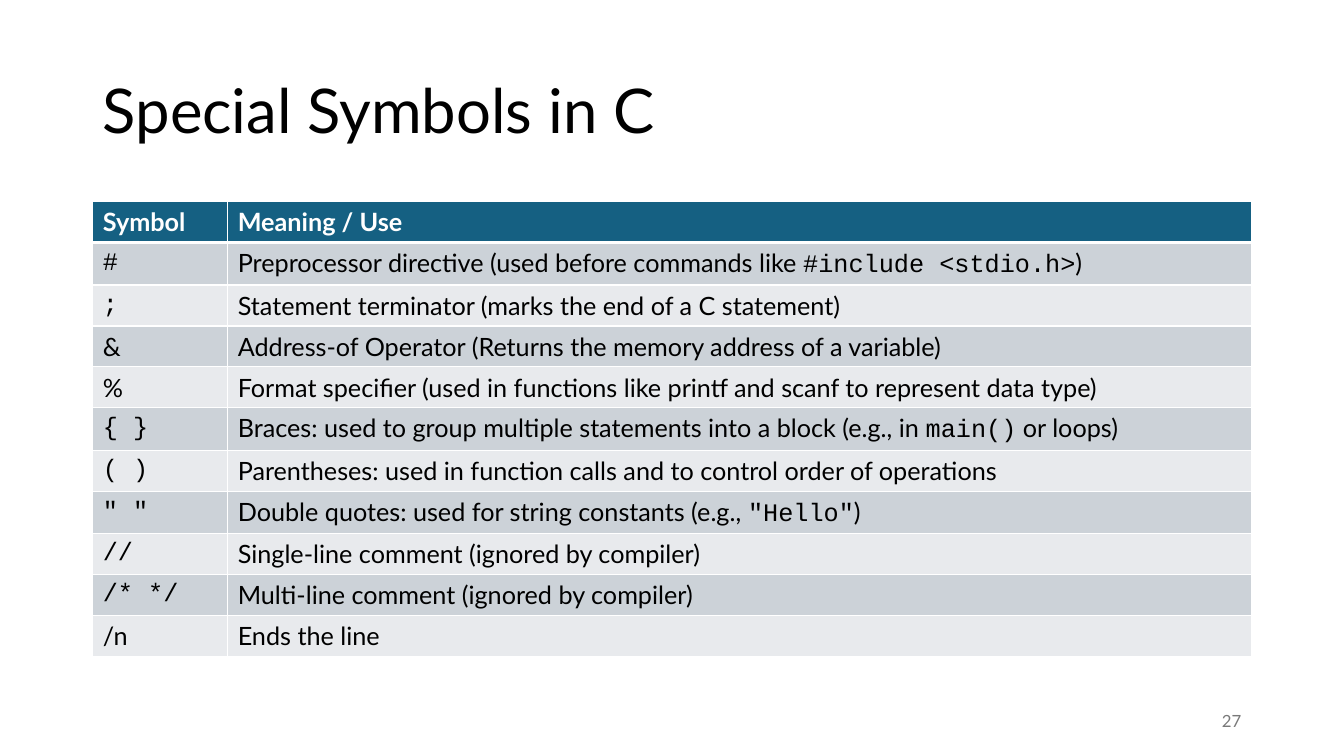
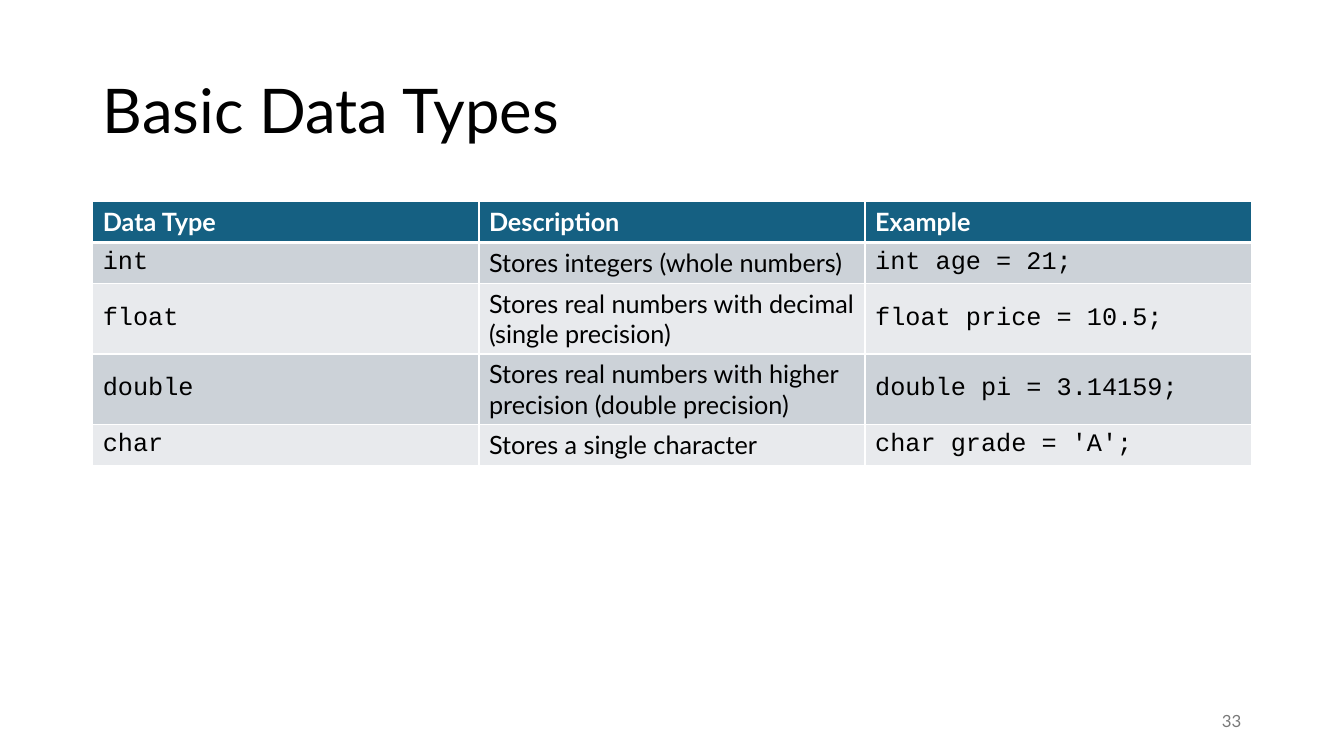
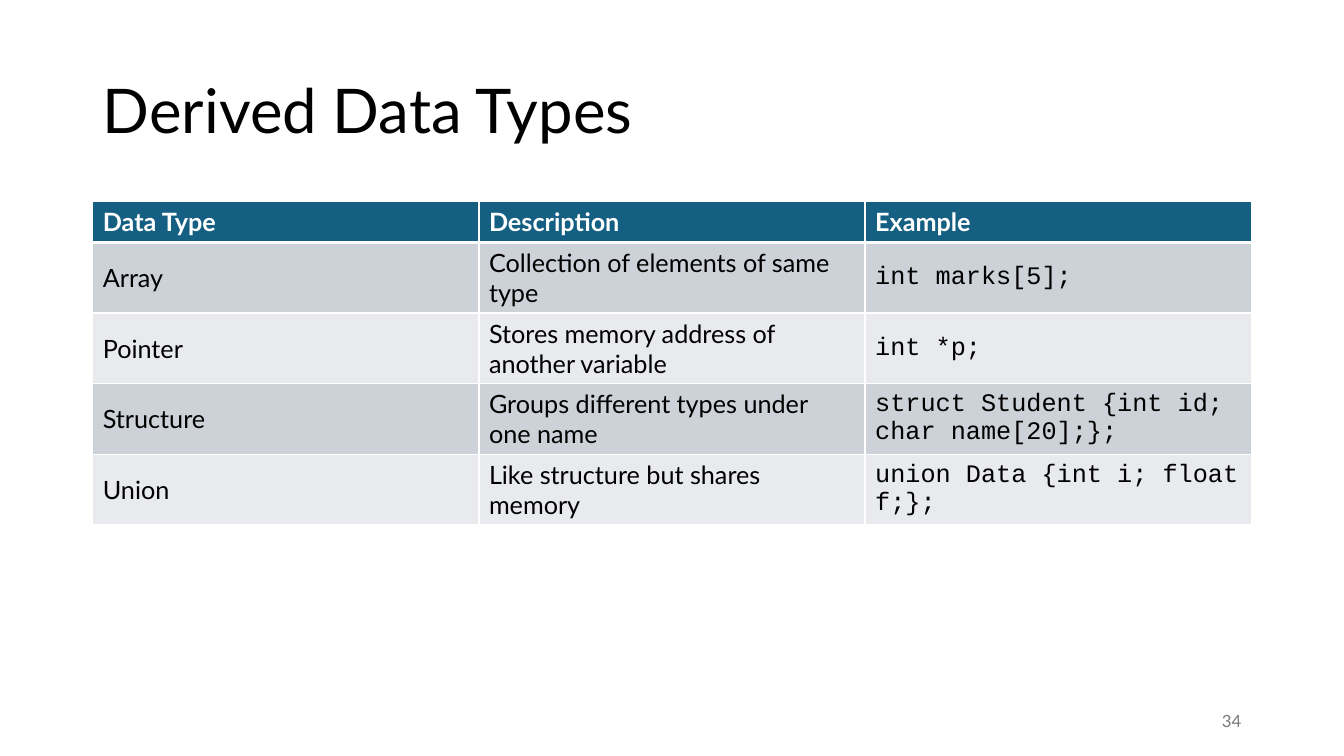
"""Build three slides of C reference tables with a shared title, table and page number style."""
from lxml.etree import SubElement
from pptx import Presentation
from pptx.dml.color import RGBColor
from pptx.enum.text import MSO_ANCHOR, MSO_AUTO_SIZE, PP_ALIGN
from pptx.oxml.ns import qn
from pptx.util import Inches, Pt

TYPE_HEADER = ("Data Type", "Description", "Example")
TYPE_COLUMNS = (1, 1, 1)

SLIDES = [
    {
        "title": "Special Symbols in C",
        "number": "27",
        "columns": (1.34, 10.16),
        "rows": [
            ("Symbol", "Meaning / Use"),
            ("`#`", "Preprocessor directive (used before commands like `#include <stdio.h>`)"),
            ("`;`", "Statement terminator (marks the end of a C statement)"),
            ("&", "Address-of Operator (Returns the memory address of a variable)"),
            ("%", "Format specifier (used in functions like printf and scanf to represent data type)"),
            ("`{ }`", "Braces: used to group multiple statements into a block (e.g., in `main()` or loops)"),
            ("`( )`", "Parentheses: used in function calls and to control order of operations"),
            ('`" "`', 'Double quotes: used for string constants (e.g., `"Hello"`)'),
            ("`//`", "Single-line comment (ignored by compiler)"),
            ("`/* */`", "Multi-line comment (ignored by compiler)"),
            ("/n", "Ends the line"),
        ],
    },
    {
        "title": "Basic Data Types",
        "number": "33",
        "columns": TYPE_COLUMNS,
        "rows": [
            TYPE_HEADER,
            ("`int`", "Stores integers (whole numbers)", "`int age = 21;`"),
            ("`float`", "Stores real numbers with decimal (single precision)", "`float price = 10.5;`"),
            ("`double`", "Stores real numbers with higher precision (double precision)",
             "`double pi = 3.14159;`"),
            ("`char`", "Stores a single character", "`char grade = 'A';`"),
        ],
    },
    {
        "title": "Derived Data Types",
        "number": "34",
        "columns": TYPE_COLUMNS,
        "rows": [
            TYPE_HEADER,
            ("Array", "Collection of elements of same type", "`int marks[5];`"),
            ("Pointer", "Stores memory address of another variable", "`int *p;`"),
            ("Structure", "Groups different types under one name", "`struct Student {int id; char name[20];};`"),
            ("Union", "Like structure but shares memory", "`union Data {int i; float f;};`"),
        ],
    },
]

BLACK = RGBColor(0x00, 0x00, 0x00)
WHITE = RGBColor(0xFF, 0xFF, 0xFF)
TEAL = RGBColor(0x15, 0x60, 0x82)
GRAY = RGBColor(0x79, 0x79, 0x79)
BANDS = (RGBColor(0xE8, 0xEA, 0xED), RGBColor(0xCC, 0xD2, 0xD8))

TEXT_FONT, CODE_FONT = "Lato", "Courier New"
TITLE_FORMAT = {"name": TEXT_FONT, "size": Pt(44), "color": BLACK}
NUMBER_FORMAT = {"name": TEXT_FONT, "size": Pt(12), "color": GRAY}
HEADER_FORMAT = {"size": Pt(18), "bold": True, "color": WHITE}
BODY_FORMAT = {"size": Pt(18), "bold": False, "color": BLACK}

SLIDE_WIDTH, SLIDE_HEIGHT = Inches(13.33), Inches(7.5)
MARGIN = Inches(0.92)
CONTENT_WIDTH = SLIDE_WIDTH - 2 * MARGIN
TITLE_TOP, TITLE_HEIGHT = Inches(0.4), Inches(1.45)
TABLE_TOP, ROW_HEIGHT = Inches(2), Pt(29.2)
NUMBER_TOP, NUMBER_WIDTH, NUMBER_HEIGHT = Inches(6.95), Inches(3), Inches(0.4)
THIN, THICK = Pt(1), Pt(3)


def add_run(paragraph, text, formats):
    """Append a run and apply its font formats."""
    run = paragraph.add_run()
    run.text = text
    for attribute, value in formats.items():
        if attribute == "color":
            run.font.color.rgb = value
        else:
            setattr(run.font, attribute, value)


def set_borders(cell, widths):
    """Draw white cell borders, given the width of each side."""
    properties = cell._tc.get_or_add_tcPr()
    for side, width in widths.items():
        line = SubElement(properties, qn(f"a:ln{side}"), w=str(width))
        SubElement(SubElement(line, qn("a:solidFill")), qn("a:srgbClr"), val=str(WHITE))


def fill_cell(cell, text, row_index):
    """Format one cell and write its text, with code between backticks."""
    is_header = row_index == 0
    set_borders(cell, {
        "L": THIN,
        "R": THIN,
        "T": THICK if row_index == 1 else THIN,
        "B": THICK if is_header else THIN,
    })
    cell.fill.solid()
    cell.fill.fore_color.rgb = TEAL if is_header else BANDS[row_index % 2]
    cell.vertical_anchor = MSO_ANCHOR.MIDDLE
    formats = HEADER_FORMAT if is_header else BODY_FORMAT
    for index, part in enumerate(text.split("`")):
        if part:
            font_name = CODE_FONT if index % 2 else TEXT_FONT
            add_run(cell.text_frame.paragraphs[0], part, {"name": font_name, **formats})


def add_title(slide, text):
    """Place and format the title placeholder."""
    title = slide.shapes.title
    title.left, title.top, title.width, title.height = MARGIN, TITLE_TOP, CONTENT_WIDTH, TITLE_HEIGHT
    title.text_frame.auto_size = MSO_AUTO_SIZE.NONE
    title.text_frame.vertical_anchor = MSO_ANCHOR.MIDDLE
    paragraph = title.text_frame.paragraphs[0]
    paragraph.alignment = PP_ALIGN.LEFT
    paragraph.line_spacing = 0.9
    add_run(paragraph, text, TITLE_FORMAT)


def add_reference_table(slide, rows, columns):
    """Add a table whose columns share the content width."""
    table = slide.shapes.add_table(
        len(rows), len(columns), MARGIN, TABLE_TOP, CONTENT_WIDTH, ROW_HEIGHT * len(rows)
    ).table
    for column, share in zip(table.columns, columns):
        column.width = round(CONTENT_WIDTH * share / sum(columns))
    for row_index, (row, texts) in enumerate(zip(table.rows, rows)):
        row.height = ROW_HEIGHT
        for cell, text in zip(row.cells, texts):
            fill_cell(cell, text, row_index)


def add_page_number(slide, number):
    """Add the page number at the right margin."""
    left = SLIDE_WIDTH - MARGIN - NUMBER_WIDTH
    frame = slide.shapes.add_textbox(left, NUMBER_TOP, NUMBER_WIDTH, NUMBER_HEIGHT).text_frame
    frame.word_wrap = True
    frame.vertical_anchor = MSO_ANCHOR.MIDDLE
    frame.paragraphs[0].alignment = PP_ALIGN.RIGHT
    add_run(frame.paragraphs[0], number, NUMBER_FORMAT)


def main():
    """Build and save the presentation."""
    presentation = Presentation()
    presentation.slide_width, presentation.slide_height = SLIDE_WIDTH, SLIDE_HEIGHT
    title_only = presentation.slide_layouts.get_by_name("Title Only")
    for content in SLIDES:
        slide = presentation.slides.add_slide(title_only)
        add_title(slide, content["title"])
        add_reference_table(slide, content["rows"], content["columns"])
        add_page_number(slide, content["number"])
    presentation.save("out.pptx")


if __name__ == "__main__":
    main()
